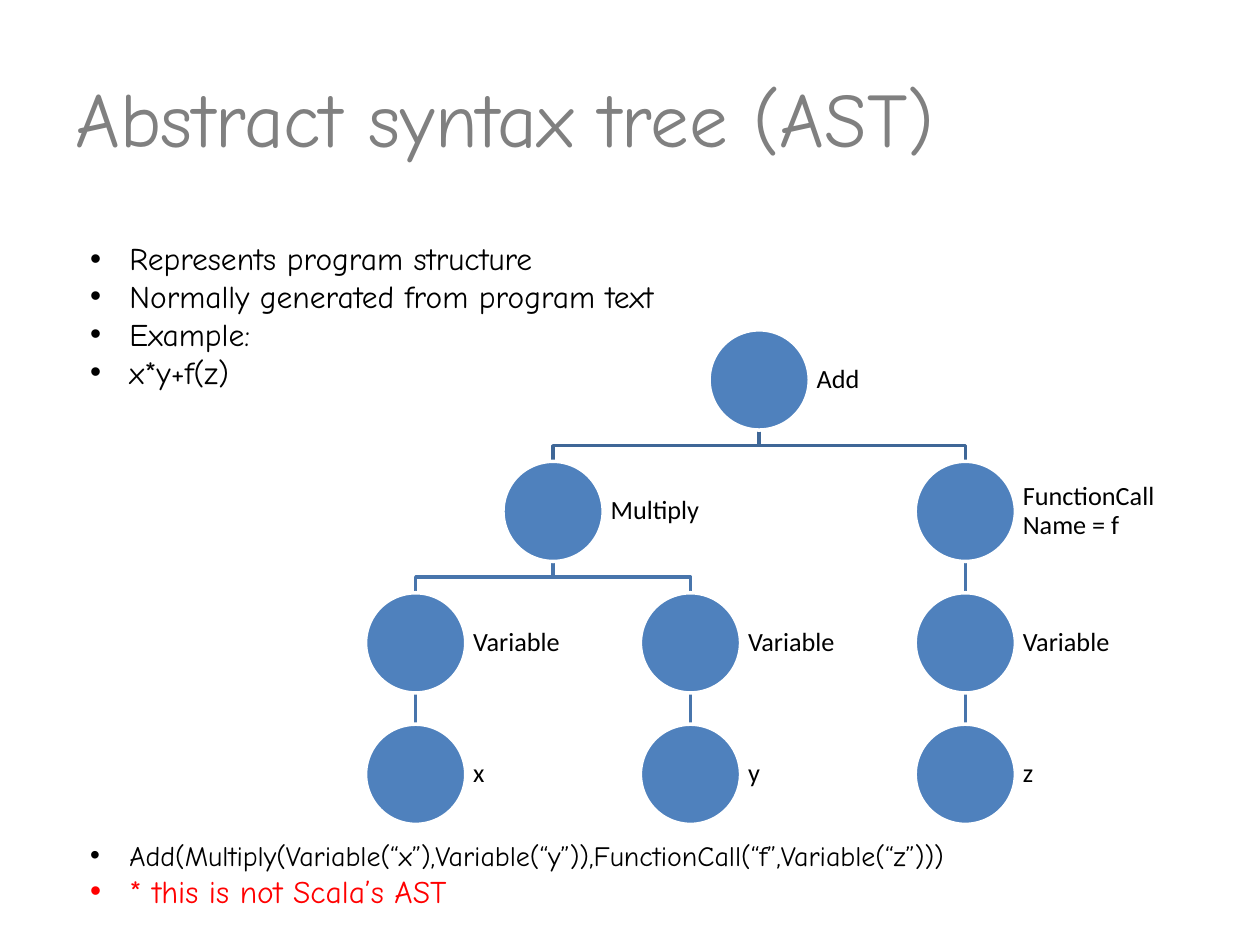
from dataclasses import dataclass, field

from lxml.etree import SubElement
from pptx import Presentation
from pptx.dml.color import RGBColor
from pptx.enum.shapes import MSO_CONNECTOR, MSO_SHAPE
from pptx.enum.text import MSO_ANCHOR, PP_ALIGN
from pptx.oxml.ns import qn
from pptx.util import Cm, Pt


@dataclass(frozen=True)
class Theme:
    heading_font: str = "Comic Neue"
    label_font: str = "Calibri"
    heading: RGBColor = RGBColor(0x80, 0x80, 0x80)
    text: RGBColor = RGBColor(0, 0, 0)
    warning: RGBColor = RGBColor(0xFF, 0, 0)
    node: RGBColor = RGBColor(0x4F, 0x81, 0xBD)
    outline: RGBColor = RGBColor(0xFF, 0xFF, 0xFF)
    root_link: RGBColor = RGBColor(0x3F, 0x67, 0x97)
    link: RGBColor = RGBColor(0x48, 0x75, 0xAC)
    title_size: Pt = Pt(44)
    body_size: Pt = Pt(18)
    code_size: Pt = Pt(16)
    label_size: Pt = Pt(15)
    line_width: Pt = Pt(2)


@dataclass
class Node:
    label: str
    children: list = field(default_factory=list)
    x: int = 0
    depth: int = 0

    @property
    def top(self):
        return TREE_TOP + self.depth * LEVEL_PITCH

    @property
    def bottom(self):
        return self.top + DIAMETER


THEME = Theme()
TREE_TOP = Cm(6.65)
LEVEL_PITCH = Cm(2.65)
DIAMETER = Cm(2.02)
FIRST_LEAF = Cm(8.38)
LEAF_PITCH = Cm(5.54)
LABEL_WIDTH = Cm(3.03)
LABEL_INSET = Cm(0.15)
INDENT = Cm(0.79)

SYNTAX_TREE = Node("Add", [
    Node("Multiply", [
        Node("Variable", [Node("x")]),
        Node("Variable", [Node("y")]),
    ]),
    Node("FunctionCall\vName = f", [Node("Variable", [Node("z")])]),
])

BULLETS = [
    ("Represents program structure", THEME.body_size, THEME.text, 0),
    ("Normally generated from program text", THEME.body_size, THEME.text, 0),
    ("Example:", THEME.body_size, THEME.text, 0),
    ("x*y+f(z)", THEME.body_size, THEME.text, 0),
    ("Add(Multiply(Variable(“x”),Variable(“y”)),FunctionCall(“f”,Variable(“z”)))",
     THEME.code_size, THEME.text, 256),
    ("* this is not Scala’s AST", THEME.body_size, THEME.warning, 0),
]


def set_font(paragraph, name, size, color):
    paragraph.font.name = name
    paragraph.font.size = size
    paragraph.font.color.rgb = color


def add_title(slide, wording):
    title = slide.shapes.title
    title.left, title.top, title.width, title.height = Cm(1.27), Cm(0.76), Cm(22.86), Cm(3.18)
    title.text_frame.vertical_anchor = MSO_ANCHOR.MIDDLE
    heading = title.text_frame.paragraphs[0]
    heading.text = wording
    heading.alignment = PP_ALIGN.LEFT
    set_font(heading, THEME.heading_font, THEME.title_size, THEME.heading)


def add_bullets(slide, bullets):
    frame = slide.shapes.add_textbox(Cm(1.57), Cm(4.7), Cm(21.72), Cm(13.94)).text_frame
    frame.word_wrap = True
    for index, (wording, size, color, space) in enumerate(bullets):
        bullet = frame.add_paragraph() if index else frame.paragraphs[0]
        bullet.text = wording
        bullet.space_before = Pt(space)
        set_font(bullet, THEME.heading_font, size, color)
        properties = bullet._p.get_or_add_pPr()
        properties.set("marL", str(INDENT))
        properties.set("indent", str(-INDENT))
        SubElement(properties, qn("a:buFont"), typeface="Arial")
        SubElement(properties, qn("a:buChar"), char="•")


def place(node, leaves, depth=0):
    node.depth = depth
    placed = [node]
    for child in node.children:
        placed += place(child, leaves, depth + 1)
    if node.children:
        node.x = sum(child.x for child in node.children) // len(node.children)
    else:
        node.x = FIRST_LEAF + next(leaves) * LEAF_PITCH
    return placed


def add_link(slide, parent, child):
    if parent.x == child.x:
        link = slide.shapes.add_connector(
            MSO_CONNECTOR.STRAIGHT, parent.x, parent.bottom, child.x, child.top)
        SubElement(link._element.spPr, qn("a:effectLst"))
    else:
        middle = (parent.bottom + child.top) // 2
        outline = slide.shapes.build_freeform(parent.x, parent.bottom)
        outline.add_line_segments(
            [(parent.x, middle), (child.x, middle), (child.x, child.top)], close=False)
        link = outline.convert_to_shape()
        link.fill.background()
        link.shadow.inherit = False
    link.line.color.rgb = THEME.link if parent.depth else THEME.root_link
    link.line.width = THEME.line_width


def add_node(slide, node):
    radius = DIAMETER // 2
    circle = slide.shapes.add_shape(
        MSO_SHAPE.OVAL, node.x - radius, node.top, DIAMETER, DIAMETER)
    circle.shadow.inherit = False
    circle.fill.solid()
    circle.fill.fore_color.rgb = THEME.node
    circle.line.color.rgb = THEME.outline
    circle.line.width = THEME.line_width

    frame = slide.shapes.add_textbox(
        node.x + radius, node.top, LABEL_WIDTH, DIAMETER).text_frame
    frame.word_wrap = True
    frame.vertical_anchor = MSO_ANCHOR.MIDDLE
    frame.margin_left = frame.margin_right = LABEL_INSET
    frame.margin_top = frame.margin_bottom = LABEL_INSET
    label = frame.paragraphs[0]
    label.text = node.label
    label.line_spacing = 0.9
    set_font(label, THEME.label_font, THEME.label_size, THEME.text)


def add_tree(slide, root):
    nodes = place(root, iter(range(3)))
    for parent in nodes:
        for child in parent.children:
            add_link(slide, parent, child)
    for node in nodes:
        add_node(slide, node)


def main():
    presentation = Presentation()
    presentation.slide_width, presentation.slide_height = Cm(25.4), Cm(19.05)
    slide = presentation.slides.add_slide(presentation.slide_layouts[5])
    add_title(slide, "Abstract syntax tree (AST)")
    add_bullets(slide, BULLETS)
    add_tree(slide, SYNTAX_TREE)
    presentation.save("out.pptx")


if __name__ == "__main__":
    main()
